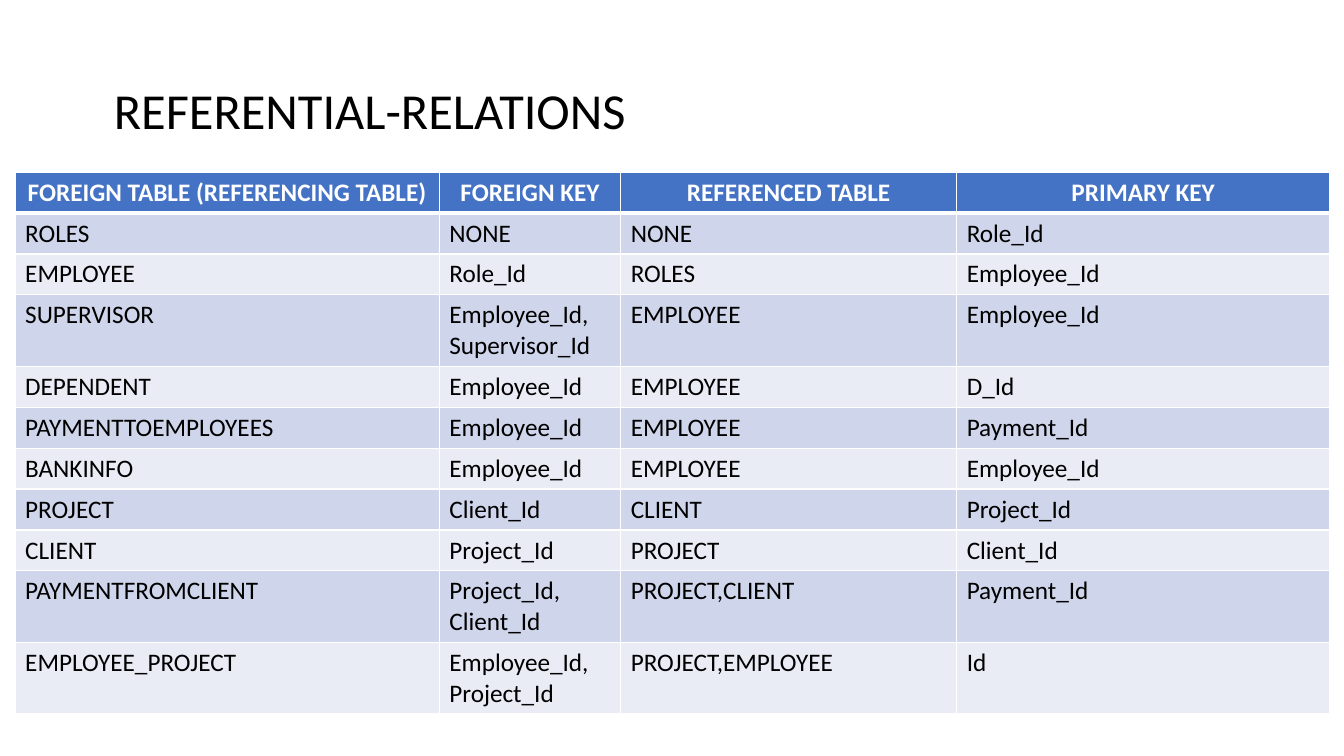
from dataclasses import dataclass

from lxml.etree import SubElement
from pptx import Presentation
from pptx.dml.color import RGBColor
from pptx.enum.text import MSO_ANCHOR, MSO_AUTO_SIZE, PP_ALIGN
from pptx.oxml.ns import qn
from pptx.util import Inches, Pt


@dataclass(frozen=True)
class Theme:
    font: str = "Calibri"
    title_size: int = 36
    table_size: int = 18
    ink: str = "000000"
    paper: str = "FFFFFF"
    header: str = "4472C4"
    bands: tuple = ("CFD5EA", "E9EBF5")
    rule: int = 1
    header_rule: int = 3


GRID_COLUMNS, GRID_ROWS = 160, 90

HEADINGS = ("FOREIGN TABLE (REFERENCING TABLE)", "FOREIGN KEY", "REFERENCED TABLE", "PRIMARY KEY")
RELATIONS = (
    ("ROLES", "NONE", "NONE", "Role_Id"),
    ("EMPLOYEE", "Role_Id", "ROLES", "Employee_Id"),
    ("SUPERVISOR", "Employee_Id,\nSupervisor_Id", "EMPLOYEE", "Employee_Id"),
    ("DEPENDENT", "Employee_Id", "EMPLOYEE", "D_Id"),
    ("PAYMENTTOEMPLOYEES", "Employee_Id", "EMPLOYEE", "Payment_Id"),
    ("BANKINFO", "Employee_Id", "EMPLOYEE", "Employee_Id"),
    ("PROJECT", "Client_Id", "CLIENT", "Project_Id"),
    ("CLIENT", "Project_Id", "PROJECT", "Client_Id"),
    ("PAYMENTFROMCLIENT", "Project_Id, Client_Id", "PROJECT,CLIENT", "Payment_Id"),
    ("EMPLOYEE_PROJECT", "Employee_Id, Project_Id", "PROJECT,EMPLOYEE", "Id"),
)


def write(frame, text, *, font, size, color, bold=False, align=PP_ALIGN.LEFT, spacing=None):
    frame.text = text
    for paragraph in frame.paragraphs:
        paragraph.alignment = align
        paragraph.line_spacing = spacing
        for run in paragraph.runs:
            run.font.name = font
            run.font.size = Pt(size)
            run.font.bold = bold
            run.font.color.rgb = RGBColor.from_string(color)


class SlideBuilder:
    def __init__(self, deck, theme):
        self.theme = theme
        self.column = deck.slide_width / GRID_COLUMNS
        self.row = deck.slide_height / GRID_ROWS
        self.slide = deck.slides.add_slide(deck.slide_layouts[5])

    def place(self, left, top, width, height):
        return (int(left * self.column), int(top * self.row),
                int(width * self.column), int(height * self.row))

    def title(self, text, *box):
        heading = self.slide.shapes.title
        heading.left, heading.top, heading.width, heading.height = self.place(*box)
        frame = heading.text_frame
        frame.word_wrap = True
        frame.auto_size = MSO_AUTO_SIZE.NONE
        frame.vertical_anchor = MSO_ANCHOR.MIDDLE
        write(frame, text, font=self.theme.font, size=self.theme.title_size,
              color=self.theme.ink, spacing=0.9)

    def cell(self, cell, text, fill, edges, **style):
        properties = cell._tc.get_or_add_tcPr()
        for edge, width in edges.items():
            line = SubElement(properties, qn(f"a:{edge}"), w=str(Pt(width)))
            SubElement(SubElement(line, qn("a:solidFill")), qn("a:srgbClr"), val=self.theme.paper)
        cell.fill.solid()
        cell.fill.fore_color.rgb = RGBColor.from_string(fill)
        write(cell.text_frame, text, font=self.theme.font, size=self.theme.table_size, **style)

    def table(self, headings, records, left, top, widths, row_height):
        theme = self.theme
        lines = (headings, *records)
        box = self.place(left, top, sum(widths), row_height * len(lines))
        table = self.slide.shapes.add_table(len(lines), len(headings), *box).table
        for column, width in zip(table.columns, widths):
            column.width = int(width * self.column)
        for index, values in enumerate(lines):
            table.rows[index].height = int(row_height * self.row)
            is_header = index == 0
            edges = dict.fromkeys(("lnL", "lnR", "lnT", "lnB"), theme.rule)
            if is_header:
                edges["lnB"] = theme.header_rule
                fill = theme.header
                style = dict(color=theme.paper, bold=True, align=PP_ALIGN.CENTER)
            else:
                if index == 1:
                    edges["lnT"] = theme.header_rule
                fill = theme.bands[(index - 1) % 2]
                style = dict(color=theme.ink)
            for position, text in enumerate(values):
                cell = table.cell(index, position)
                self.cell(cell, text, fill, edges, **style)
                cell.vertical_anchor = MSO_ANCHOR.MIDDLE if is_header else MSO_ANCHOR.TOP


def main():
    deck = Presentation()
    deck.slide_width, deck.slide_height = Inches(13.33), Inches(7.5)
    builder = SlideBuilder(deck, Theme())
    builder.title(" REFERENTIAL-RELATIONS", 11, 4.8, 138, 17.4)
    builder.table(HEADINGS, RELATIONS, left=1.8, top=20.5,
                  widths=(50.5, 21.6, 40, 44.4), row_height=4.86)
    deck.save("out.pptx")


if __name__ == "__main__":
    main()
